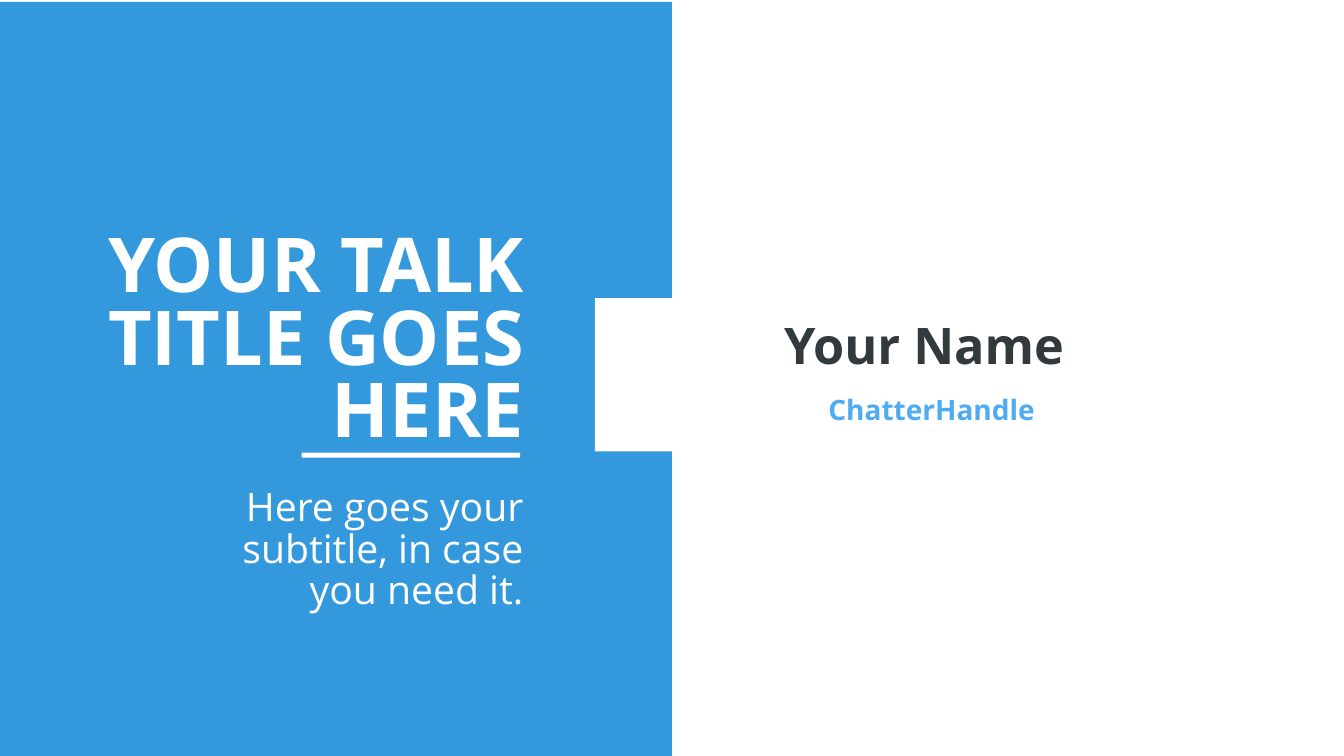
from dataclasses import dataclass

from pptx import Presentation
from pptx.dml.color import RGBColor
from pptx.enum.shapes import MSO_SHAPE
from pptx.enum.text import MSO_ANCHOR, MSO_AUTO_SIZE, PP_ALIGN
from pptx.slide import Slide
from pptx.util import Pt

RECTANGLE = MSO_SHAPE.RECTANGLE
ROUNDED = MSO_SHAPE.ROUNDED_RECTANGLE
TOP = MSO_ANCHOR.TOP
BOTTOM = MSO_ANCHOR.BOTTOM
LEFT = PP_ALIGN.LEFT
RIGHT = PP_ALIGN.RIGHT
FIXED = MSO_AUTO_SIZE.NONE
GROW = MSO_AUTO_SIZE.SHAPE_TO_FIT_TEXT

WHITE = RGBColor(0xFF, 0xFF, 0xFF)
BLUE = RGBColor(0x34, 0x99, 0xDC)
SLATE = RGBColor(0x33, 0x3A, 0x3E)
SKY = RGBColor(0x50, 0xAC, 0xF2)
FONT = "Open Sans"


@dataclass(frozen=True)
class Box:
    left: float
    top: float
    width: float
    height: float

    def lengths(self) -> tuple[Pt, Pt, Pt, Pt]:
        return Pt(self.left), Pt(self.top), Pt(self.width), Pt(self.height)


@dataclass(frozen=True)
class Panel:
    box: Box
    color: RGBColor
    outline: MSO_SHAPE = RECTANGLE


@dataclass(frozen=True)
class Label:
    text: str
    box: Box
    size: float
    color: RGBColor
    bold: bool = True
    align: PP_ALIGN = LEFT
    anchor: MSO_ANCHOR = TOP
    fit: MSO_AUTO_SIZE = FIXED
    spacing: float = 1.0
    inset_top: float = 3.6
    inset_bottom: float = 3.6


PANELS = [
    Panel(Box(0, 1.44, 480, 540), BLUE),
    Panel(Box(215.5, 323.3, 156, 3.6), WHITE, ROUNDED),
    Panel(Box(425, 213, 109.5, 109.5), WHITE),
]

LABELS = [
    Label("YOUR TALK TITLE GOES HERE", Box(14.4, 84.2, 367.2, 239), 54, WHITE,
          align=RIGHT, anchor=BOTTOM, spacing=0.8, inset_bottom=0),
    Label("Here goes your subtitle, in case you need it.",
          Box(113.8, 342, 267.1, 146.9), 28, WHITE, bold=False,
          align=RIGHT, spacing=0.88, inset_top=7.2),
    Label("Your Name", Box(553, 220.3, 406.8, 51.1), 36, SLATE,
          anchor=BOTTOM, fit=GROW),
    Label("ChatterHandle", Box(584.6, 276.5, 334.1, 31.7), 20, SKY, fit=GROW),
]


def draw_panel(slide: Slide, panel: Panel) -> None:
    shape = slide.shapes.add_shape(panel.outline, *panel.box.lengths())
    shape.shadow.inherit = False
    shape.fill.solid()
    shape.fill.fore_color.rgb = panel.color
    shape.line.fill.background()


def draw_label(slide: Slide, label: Label) -> None:
    frame = slide.shapes.add_textbox(*label.box.lengths()).text_frame
    frame.text = label.text
    frame.word_wrap = True
    frame.auto_size = label.fit
    frame.vertical_anchor = label.anchor
    frame.margin_top = Pt(label.inset_top)
    frame.margin_bottom = Pt(label.inset_bottom)
    paragraph = frame.paragraphs[0]
    paragraph.alignment = label.align
    paragraph.line_spacing = label.spacing
    font = paragraph.runs[0].font
    font.name = FONT
    font.size = Pt(label.size)
    font.bold = label.bold
    font.color.rgb = label.color


def main() -> None:
    deck = Presentation()
    deck.slide_width = Pt(960)
    deck.slide_height = Pt(540)
    slide = deck.slides.add_slide(deck.slide_layouts[6])
    for panel in PANELS:
        draw_panel(slide, panel)
    for label in LABELS:
        draw_label(slide, label)
    deck.save("out.pptx")


if __name__ == "__main__":
    main()
